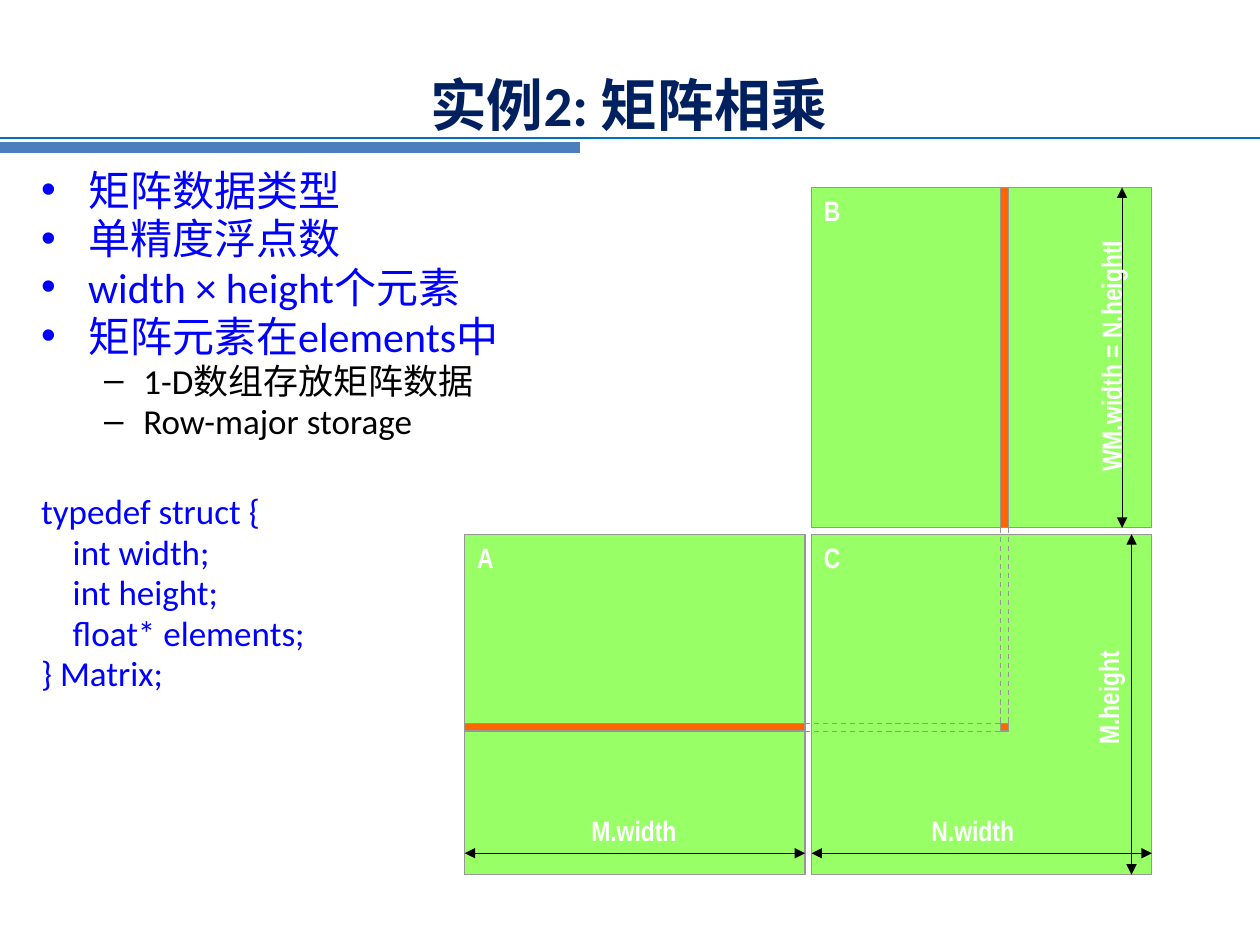
import pptx
import pptx.util
import pptx.dml.color
import pptx.enum.dml
import pptx.enum.shapes
import pptx.enum.text
from pptx.oxml.ns import qn
from lxml import etree

Cm, Pt = pptx.util.Cm, pptx.util.Pt
ALIGN, ANCHOR = pptx.enum.text.PP_ALIGN, pptx.enum.text.MSO_ANCHOR

TITLE = "实例2: 矩阵相乘"
BLUE, BLACK, WHITE = "0000FF", "000000", "FFFFFF"
GREEN, ORANGE, GREY = "99FF66", "FF6600", "969696"

# bullet, left margin and hanging indent (cm), size, colour, space before
STYLES = {
    "point": ("•", 0.95, 0.95, 24, BLUE, 4.8),
    "detail": ("–", 2.06, 0.79, 20, BLACK, 4),
    "code": (None, 0.95, 0.95, 20, BLUE, 4),
}
BODY = [
    ("point", ["矩阵数据类型", "单精度浮点数", "width × height个元素", "矩阵元素在elements中"]),
    ("detail", ["1-D数组存放矩阵数据", "Row-major storage"]),
    ("code", ["typedef struct {", "    int width;", "    int height;",
              "    float* elements;", "} Matrix;"]),
]
CODE_GAP = 32

SIDE, GAP, STRIPE = 6.86, 0.13, 0.16
LEFT, TOP = 9.37, 3.78
RIGHT, LOWER = LEFT + SIDE + GAP, TOP + SIDE + GAP
MATRICES = {"A": (LEFT, LOWER), "B": (RIGHT, TOP), "C": (RIGHT, LOWER)}
COLUMN, ROW = RIGHT + 3.81, LOWER + 3.81
WIDTH_Y = 17.2
STRIPES = [(COLUMN, TOP, STRIPE, SIDE), (LEFT, ROW, SIDE, STRIPE), (COLUMN, ROW, STRIPE, STRIPE)]
GUIDES = [(x, TOP + SIDE, x, ROW) for x in (COLUMN, COLUMN + STRIPE)]
GUIDES += [(LEFT + SIDE, y, COLUMN, y) for y in (ROW, ROW + STRIPE)]
DIMENSIONS = [
    (LEFT, WIDTH_Y, LEFT + SIDE, WIDTH_Y),
    (RIGHT, WIDTH_Y, RIGHT + SIDE, WIDTH_Y),
    (22.62, TOP, 22.62, TOP + SIDE),
    (22.81, LOWER, 22.81, LOWER + SIDE),
]
# text, centre x, centre y, width, rotation
LABELS = [
    ("WM.width = N.heightI", 22.4, 7.18, 4.67, 270),
    ("M.height", 22.34, 14.06, 1.9, 270),
    ("M.width", 12.78, 16.75, 1.73, 0),
    ("N.width", 19.61, 16.75, 1.68, 0),
]
LABEL_HEIGHT = 0.69


def rgb(value):
    return pptx.dml.color.RGBColor.from_string(value)


def set_font(paragraph, name, size, color, bold=False):
    for run in paragraph.runs:
        run.font.name, run.font.size, run.font.bold = name, Pt(size), bold
        run.font.color.rgb = rgb(color)


def add_line(slide, ends, color, width, dashed=False, arrows=False):
    line = slide.shapes.add_connector(
        pptx.enum.shapes.MSO_CONNECTOR.STRAIGHT, *(Cm(v) for v in ends))
    line.line.color.rgb = rgb(color)
    line.line.width = Pt(width)
    if dashed:
        line.line.dash_style = pptx.enum.dml.MSO_LINE.DASH
    if arrows:
        outline = line.line._get_or_add_ln()
        for end in ("a:headEnd", "a:tailEnd"):
            etree.SubElement(outline, qn(end), type="triangle")
    etree.SubElement(line._element.spPr, qn("a:effectLst"))


def add_block(slide, box, color):
    block = slide.shapes.add_shape(
        pptx.enum.shapes.MSO_SHAPE.RECTANGLE, *(Cm(v) for v in box))
    block.shadow.inherit = False
    block.fill.solid()
    block.fill.fore_color.rgb = rgb(color)
    block.line.color.rgb = rgb(GREY)
    block.line.width = Pt(0.75)
    return block


def add_body(slide):
    frame = slide.shapes.add_textbox(Cm(0.58), Cm(3.38), Cm(16.66), Cm(12.9)).text_frame
    frame.word_wrap = True
    rows = [(kind, text) for kind, texts in BODY for text in texts]
    frame.text = "\n".join(text for _, text in rows)
    previous = None
    for paragraph, (kind, _) in zip(frame.paragraphs, rows):
        bullet, margin, hanging, size, color, before = STYLES[kind]
        paragraph.line_spacing = 0.8
        if previous:
            starts_code = kind == "code" and previous != "code"
            paragraph.space_before = Pt(CODE_GAP if starts_code else before)
        properties = paragraph._p.get_or_add_pPr()
        properties.set("marL", str(Cm(margin)))
        properties.set("indent", str(-Cm(hanging)))
        if bullet:
            etree.SubElement(properties, qn("a:buFont"), typeface="Arial")
            etree.SubElement(properties, qn("a:buChar"), char=bullet)
        set_font(paragraph, "Calibri", size, color)
        previous = kind


def add_label(slide, text, center_x, center_y, width, rotation):
    label = slide.shapes.add_textbox(
        Cm(center_x - width / 2), Cm(center_y - LABEL_HEIGHT / 2), Cm(width), Cm(LABEL_HEIGHT))
    label.rotation = rotation
    frame = label.text_frame
    frame.margin_left = frame.margin_right = frame.margin_top = frame.margin_bottom = 0
    frame.word_wrap = False
    frame.text = text
    frame.paragraphs[0].alignment = ALIGN.CENTER
    set_font(frame.paragraphs[0], "Arial Narrow", 16, WHITE, True)


def main():
    deck = pptx.Presentation()
    deck.slide_width, deck.slide_height = Cm(25.4), Cm(19.05)
    slide = deck.slides.add_slide(deck.slide_layouts[5])

    add_line(slide, (0, 2.78, 25.4, 2.78), "0070C0", 0.75)
    add_line(slide, (0, 2.97, 11.7, 2.97), "4B7EBC", 6)

    title = slide.shapes.title
    title.left, title.top, title.width, title.height = Cm(0.58), Cm(1.4), Cm(24.2), Cm(1.4)
    title.text_frame.text = TITLE
    title.text_frame.vertical_anchor = ANCHOR.MIDDLE
    title.text_frame.paragraphs[0].alignment = ALIGN.CENTER
    set_font(title.text_frame.paragraphs[0], "Calibri", 32.4, "002060", True)

    add_body(slide)

    for name, (left, top) in MATRICES.items():
        frame = add_block(slide, (left, top, SIDE, SIDE), GREEN).text_frame
        frame.text = name
        frame.vertical_anchor = ANCHOR.TOP
        frame.paragraphs[0].alignment = ALIGN.LEFT
        set_font(frame.paragraphs[0], "Arial Narrow", 16, WHITE, True)
    for stripe in STRIPES:
        add_block(slide, stripe, ORANGE)
    for guide in GUIDES:
        add_line(slide, guide, GREY, 0.75, dashed=True)
    for dimension in DIMENSIONS:
        add_line(slide, dimension, BLACK, 0.5, arrows=True)
    for label in LABELS:
        add_label(slide, *label)

    deck.save("out.pptx")


if __name__ == "__main__":
    main()
